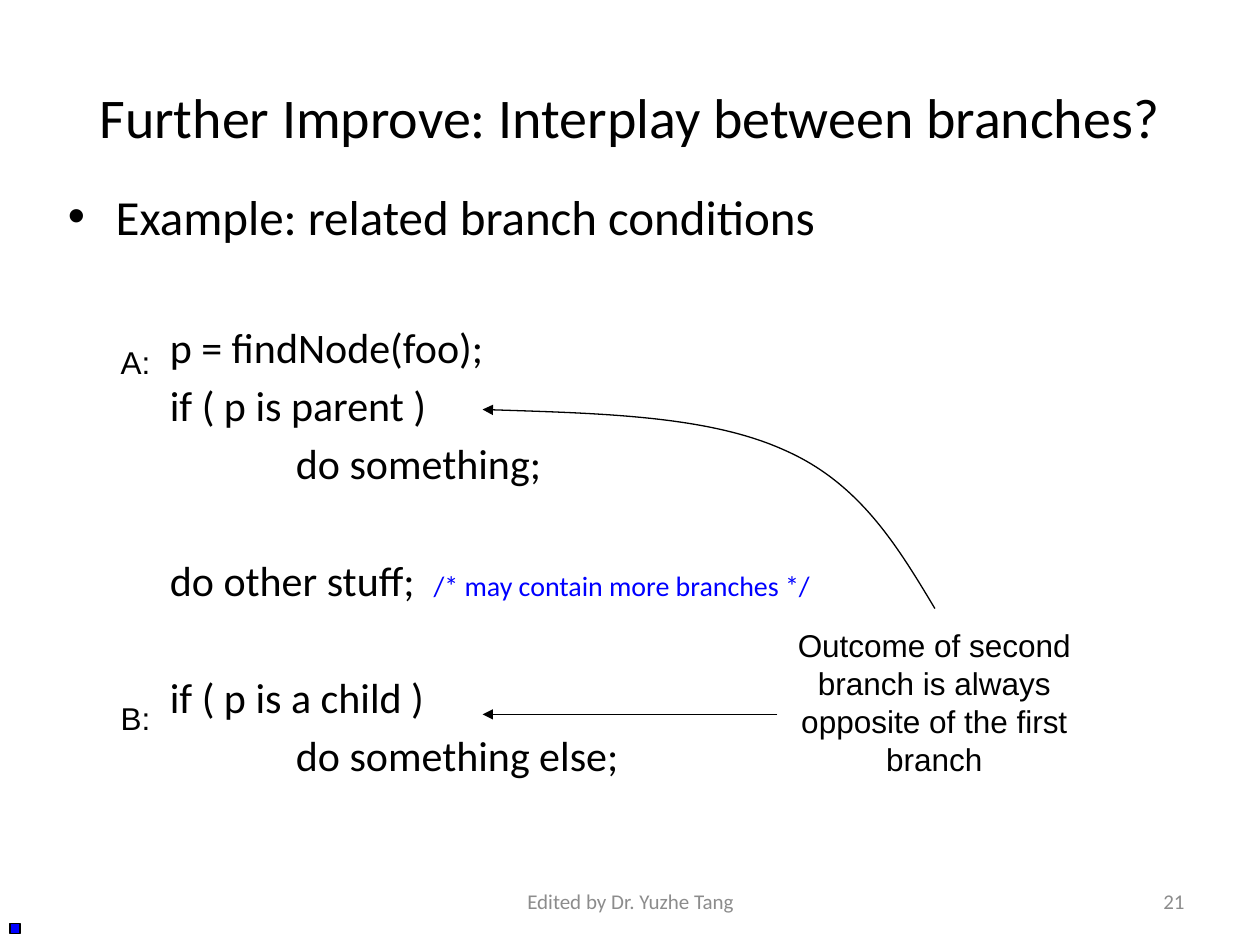
from lxml import etree
from pptx import Presentation
from pptx import util as u
from pptx.dml.color import RGBColor
from pptx.enum import shapes, text
from pptx.oxml.ns import qn

BLACK, BLUE, GRAY = "000000", "0000FF", "8C8C8C"
color_of = RGBColor.from_string
LEFT, CENTER, RIGHT = text.PP_ALIGN.LEFT, text.PP_ALIGN.CENTER, text.PP_ALIGN.RIGHT


def add_frame(left, top, width, height, anchor=text.MSO_ANCHOR.TOP, wrap=True):
    box = slide.shapes.add_textbox(*map(u.Inches, (left, top, width, height)))
    box.text_frame.word_wrap = wrap
    box.text_frame.vertical_anchor = anchor
    return box.text_frame


def write(frame, words, size=18, font="Arial", color=BLACK, align=LEFT,
          before=0, margin=0, same_line=False):
    """Add words as a new paragraph, or as one more run of the last one."""
    paragraph = frame.paragraphs[-1]
    if not same_line:
        if paragraph.runs:
            paragraph = frame.add_paragraph()
        paragraph.alignment = align
        paragraph.space_before = u.Pt(before)
        paragraph._p.get_or_add_pPr().set("marL", str(u.Inches(margin)))
    run = paragraph.add_run()
    run.text = words
    run.font.size = u.Pt(size)
    run.font.name = font
    run.font.color.rgb = color_of(color)
    return paragraph


deck = Presentation()
deck.slide_width, deck.slide_height = u.Inches(10), u.Inches(7.5)
slide = deck.slides.add_slide(deck.slide_layouts[6])
middle = text.MSO_ANCHOR.MIDDLE

title = add_frame(0.5, 0.3, 9, 1.25, anchor=middle)
write(title, "Further Improve: Interplay between branches?", 32, "Calibri", align=CENTER)

# Example heading and code; wider space before a line sets off each code group
body = add_frame(0.44, 1.43, 9.06, 5.48)
heading = write(body, "Example: related branch conditions", 28, "Calibri", margin=0.38)
heading_format = heading._p.get_or_add_pPr()
heading_format.set("indent", str(u.Inches(-0.38)))
etree.SubElement(heading_format, qn("a:buFont")).set("typeface", "Arial")
etree.SubElement(heading_format, qn("a:buChar")).set("char", "•")

line_gap, group_gap, heading_gap = 4.3, 38, 43.5
code = [
    ("p = findNode(foo);", 0.81, heading_gap),
    ("if ( p is parent )", 0.81, line_gap),
    ("do something;", 1.81, line_gap),
    ("do other stuff;  ", 0.81, group_gap),
    ("if ( p is a child )", 0.81, group_gap),
    ("do something else;", 1.81, line_gap),
]
for statement, margin, gap in code:
    write(body, statement, 24, "Calibri", before=gap, margin=margin)
    if statement.startswith("do other"):
        write(body, "/* may contain more branches */", 16, "Calibri", BLUE, same_line=True)

# Outcome note with an arrow to each branch
arrow_to_b = slide.shapes.add_connector(
    shapes.MSO_CONNECTOR.STRAIGHT,
    u.Inches(6.17), u.Inches(5.67), u.Inches(3.83), u.Inches(5.67))
etree.SubElement(arrow_to_b._element.spPr, qn("a:effectLst"))

note = add_frame(6.22, 4.92, 2.39, 1.31, wrap=False)
for line in ("Outcome of second", "branch is always", "opposite of the first", "branch"):
    write(note, line, align=CENTER)

curve_points = [(7.12, 4.33), (6.82, 3.83), (6.22, 3.57),
                (5.62, 3.3), (4.73, 3.28), (3.83, 3.25)]
builder = slide.shapes.build_freeform(u.Inches(7.42), u.Inches(4.83))
builder.add_line_segments([(u.Inches(x), u.Inches(y)) for x, y in curve_points], close=False)
arrow_to_a = builder.convert_to_shape()
arrow_to_a.fill.background()
arrow_to_a.shadow.inherit = False

# Each three straight segments become one Bézier segment
outline = arrow_to_a._element.spPr.find(".//" + qn("a:path"))
segments = outline.findall(qn("a:lnTo"))
for start in range(0, len(segments), 3):
    bezier = etree.SubElement(outline, qn("a:cubicBezTo"))
    for segment in segments[start:start + 3]:
        bezier.append(segment[0])
        outline.remove(segment)

for arrow in (arrow_to_a, arrow_to_b):
    arrow.line.color.rgb = color_of(BLACK)
    arrow.line.width = u.Pt(0.75)
    etree.SubElement(arrow.line._get_or_add_ln(), qn("a:tailEnd")).set("type", "triangle")

for label, top in (("A:", 2.67), ("B:", 5.5)):
    write(add_frame(0.86, top, 0.44, 0.4, wrap=False), label)

corner_mark = slide.shapes.add_shape(
    shapes.MSO_SHAPE.RECTANGLE, *map(u.Inches, (0.08, 7.33, 0.08, 0.08)))
corner_mark.shadow.inherit = False
corner_mark.fill.solid()
corner_mark.fill.fore_color.rgb = color_of(BLUE)
corner_mark.line.color.rgb = color_of(BLACK)
corner_mark.line.width = u.Pt(0.75)

for footer, left, width, align in (("21", 7.17, 2.33, RIGHT),
                                   ("Edited by Dr. Yuzhe Tang", 3.42, 3.17, CENTER)):
    write(add_frame(left, 6.95, width, 0.4, anchor=middle), footer, 12, "Calibri", GRAY, align)

deck.save("out.pptx")
